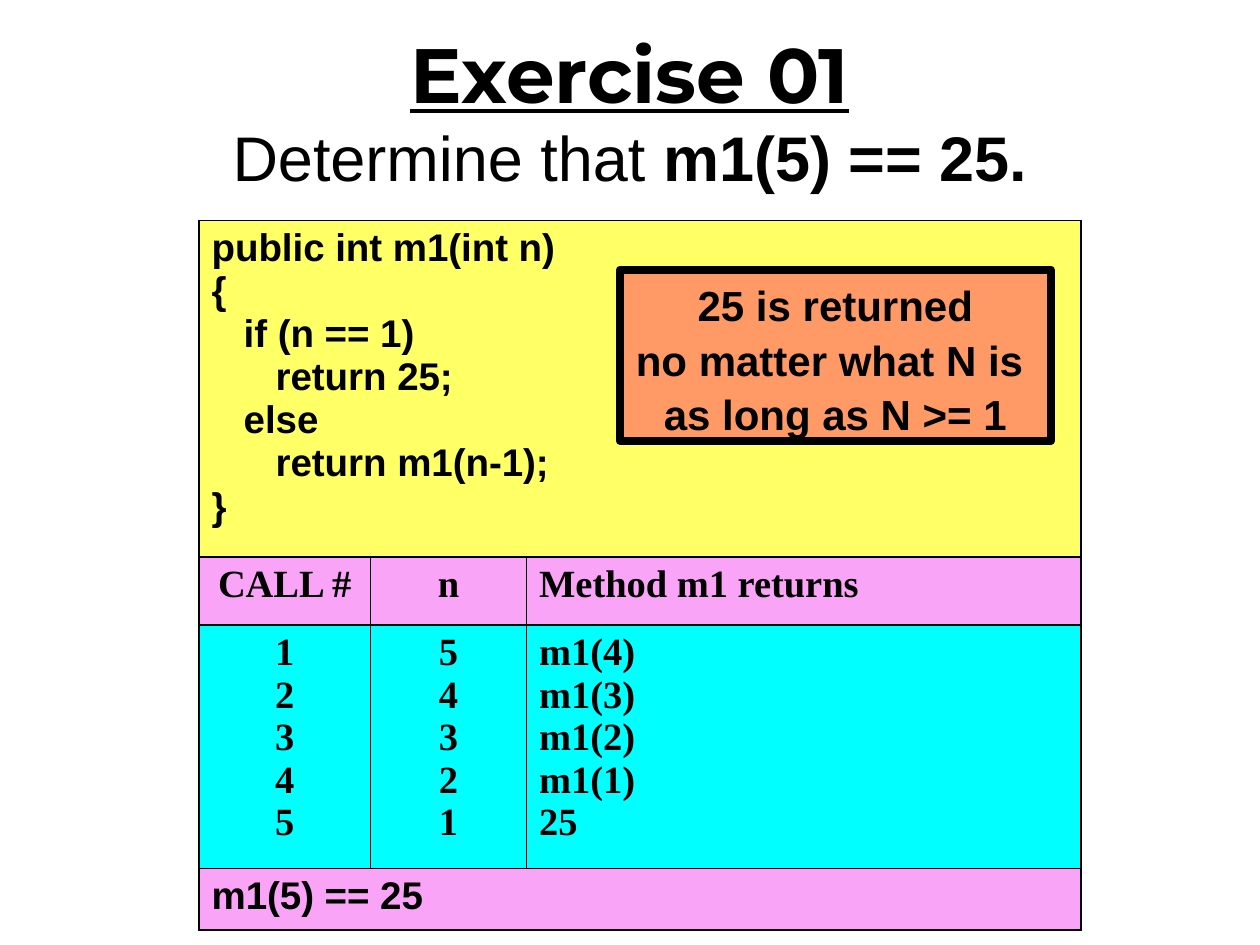
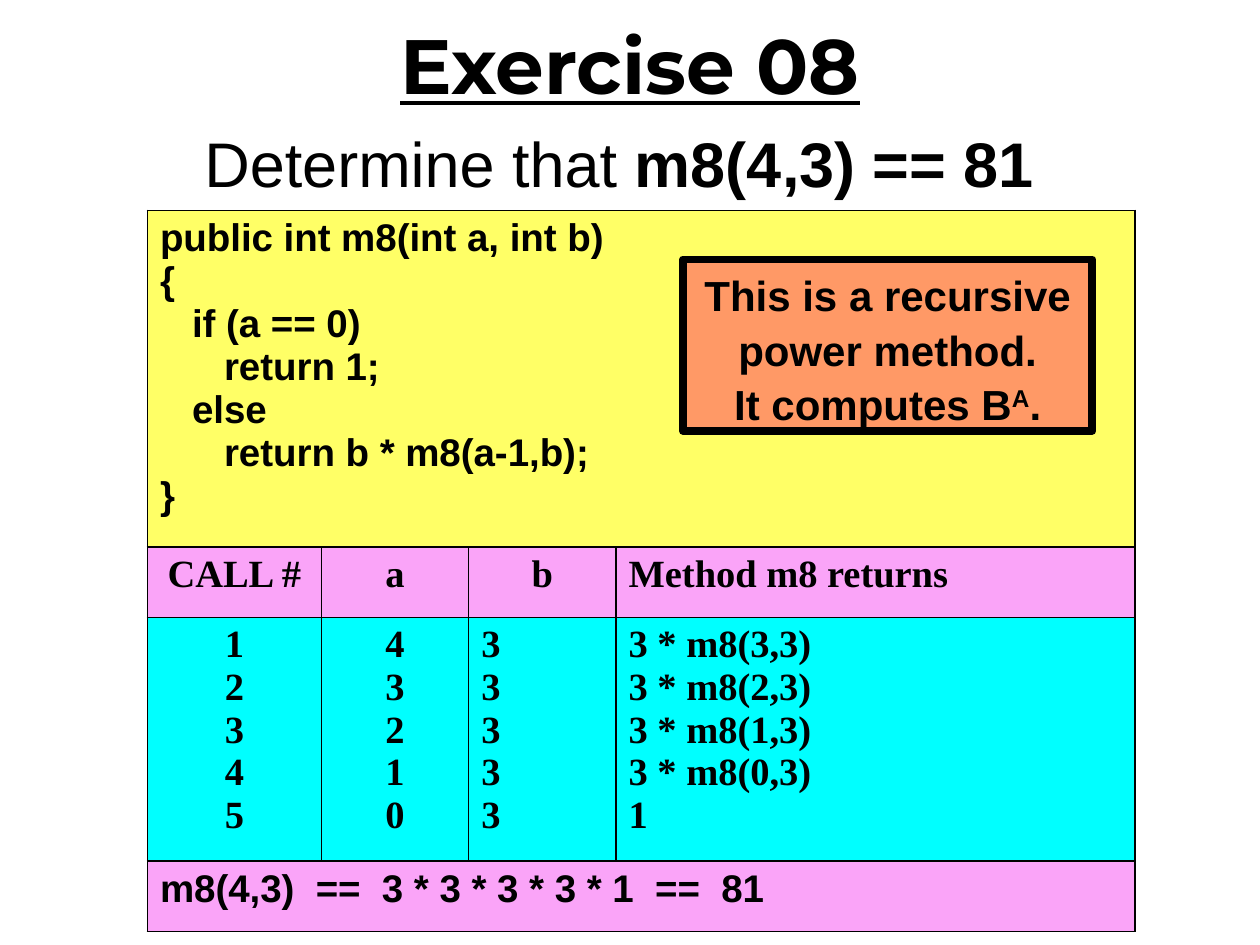
from lxml.etree import SubElement
from pptx import Presentation
from pptx.dml.color import RGBColor
from pptx.enum.shapes import MSO_SHAPE
from pptx.enum.text import MSO_ANCHOR, PP_ALIGN
from pptx.oxml.ns import qn
from pptx.util import Inches, Pt

BLACK, YELLOW, PINK, CYAN, ORANGE = "000000", "FFFF66", "FAA4F8", "00FFFF", "FF9966"
ALIGN = {"c": PP_ALIGN.CENTER, "l": PP_ALIGN.LEFT}

exercises = [
    {
        "title": "Exercise 01",
        "task": [("Determine that ", 36, False), ("m1(5) == 25.", 36, True)],
        "table_at": (1.58, 1.75),
        "cols": [1.36, 1.24, 4.4],
        "rows": [2.67, 0.54, 1.93, 0.49],
        "code": """public int m1(int n)
{
   if (n == 1)
      return 25;
   else
      return m1(n-1);
}""",
        "header": ["CALL #", "n", "Method m1 returns"],
        "header_align": "ccl",
        "calls": ["1\n2\n3\n4\n5", "5\n4\n3\n2\n1", "m1(4)\nm1(3)\nm1(2)\nm1(1)\n25"],
        "calls_align": "ccl",
        "result": "m1(5) == 25",
        "note_at": (4.92, 2.14, 3.42, 1.36),
        "note": [["25 is returned"], ["no matter what N is "], ["as long as N >= 1"]],
    },
    {
        "title": "Exercise 08",
        "task": [("Determine that ", 36, False), ("m8(4,3) == 81", 36, True), (" ", 44, False)],
        "table_at": (1.17, 1.67),
        "cols": [1.38, 1.17, 1.17, 4.12],
        "rows": [2.67, 0.56, 1.93, 0.56],
        "code": """public int m8(int a, int b)
{
   if (a == 0)
      return 1;
   else
      return b * m8(a-1,b);
}""",
        "header": ["CALL #", "a", "b", "Method m8 returns"],
        "header_align": "cccl",
        "calls": ["1\n2\n3\n4\n5", "4\n3\n2\n1\n0", "3\n3\n3\n3\n3",
                  "3 * m8(3,3)\n3 * m8(2,3)\n3 * m8(1,3)\n3 * m8(0,3)\n1"],
        "calls_align": "ccll",
        "result": "m8(4,3)  ==  3 * 3 * 3 * 3 * 1  ==  81",
        "note_at": (5.42, 2.06, 3.25, 1.36),
        "note": [["This is a recursive power method."], ["It computes B", "^A", "."]],
    },
]


def rgb(color):
    return RGBColor.from_string(color)


def style(r, size, name="Arial", bold=True):
    r.font.size = Pt(size)
    r.font.name = name
    r.font.bold = bold
    r.font.color.rgb = rgb(BLACK)


prs = Presentation()
prs.slide_width, prs.slide_height = Inches(10), Inches(7.5)

for ex in exercises:
    s = prs.slides.add_slide(prs.slide_layouts[6])

    tf = s.shapes.add_textbox(Inches(0), Inches(0.25), Inches(10), Inches(1.25)).text_frame
    tf.word_wrap = True
    tf.vertical_anchor = MSO_ANCHOR.MIDDLE
    p = tf.paragraphs[0]
    p.alignment = PP_ALIGN.CENTER
    r = p.add_run()
    r.text = ex["title"]
    style(r, 44, "Montserrat")
    r.font.underline = True
    p.add_line_break()
    for text, size, bold in ex["task"]:
        r = p.add_run()
        r.text = text
        style(r, size, bold=bold)

    n = len(ex["cols"])
    x, y = ex["table_at"]
    table = s.shapes.add_table(4, n, Inches(x), Inches(y), Inches(sum(ex["cols"])),
                               Inches(sum(ex["rows"]))).table
    for col, width in zip(table.columns, ex["cols"]):
        col.width = Inches(width)
    for row, height in zip(table.rows, ex["rows"]):
        row.height = Inches(height)

    bands = [
        ([ex["code"]] + [""] * (n - 1), "l" * n, YELLOW, "Arial"),
        (ex["header"], ex["header_align"], PINK, "Times New Roman"),
        (ex["calls"], ex["calls_align"], CYAN, "Times New Roman"),
        ([ex["result"]] + [""] * (n - 1), "l" * n, PINK, "Arial"),
    ]
    for i, (texts, aligns, fill, font) in enumerate(bands):
        for j, (text, align) in enumerate(zip(texts, aligns)):
            cell = table.cell(i, j)
            tcPr = cell._tc.get_or_add_tcPr()
            for side in ("a:lnL", "a:lnR", "a:lnT", "a:lnB"):
                ln = SubElement(tcPr, qn(side), w=str(Pt(1)))
                SubElement(SubElement(ln, qn("a:solidFill")), qn("a:srgbClr"), val=BLACK)
            cell.fill.solid()
            cell.fill.fore_color.rgb = rgb(fill)
            cell.text_frame.text = text
            for p in cell.text_frame.paragraphs:
                p.alignment = ALIGN[align]
                for r in p.runs:
                    style(r, 22, font)
    for i in (0, 3):
        table.cell(i, 0).merge(table.cell(i, n - 1))

    sp = s.shapes.add_shape(MSO_SHAPE.RECTANGLE, *[Inches(v) for v in ex["note_at"]])
    sp.shadow.inherit = False
    sp.fill.solid()
    sp.fill.fore_color.rgb = rgb(ORANGE)
    sp.line.color.rgb = rgb(BLACK)
    sp.line.width = Pt(4.5)
    tf = sp.text_frame
    tf.word_wrap = True
    tf.vertical_anchor = MSO_ANCHOR.TOP
    for i, parts in enumerate(ex["note"]):
        p = tf.add_paragraph() if i else tf.paragraphs[0]
        p.alignment = PP_ALIGN.CENTER
        p.line_spacing = 1.08
        for part in parts:
            r = p.add_run()
            r.text = part.lstrip("^")
            style(r, 24)
            if part.startswith("^"):
                r._r.get_or_add_rPr().set("baseline", "30000")

prs.save("out.pptx")
